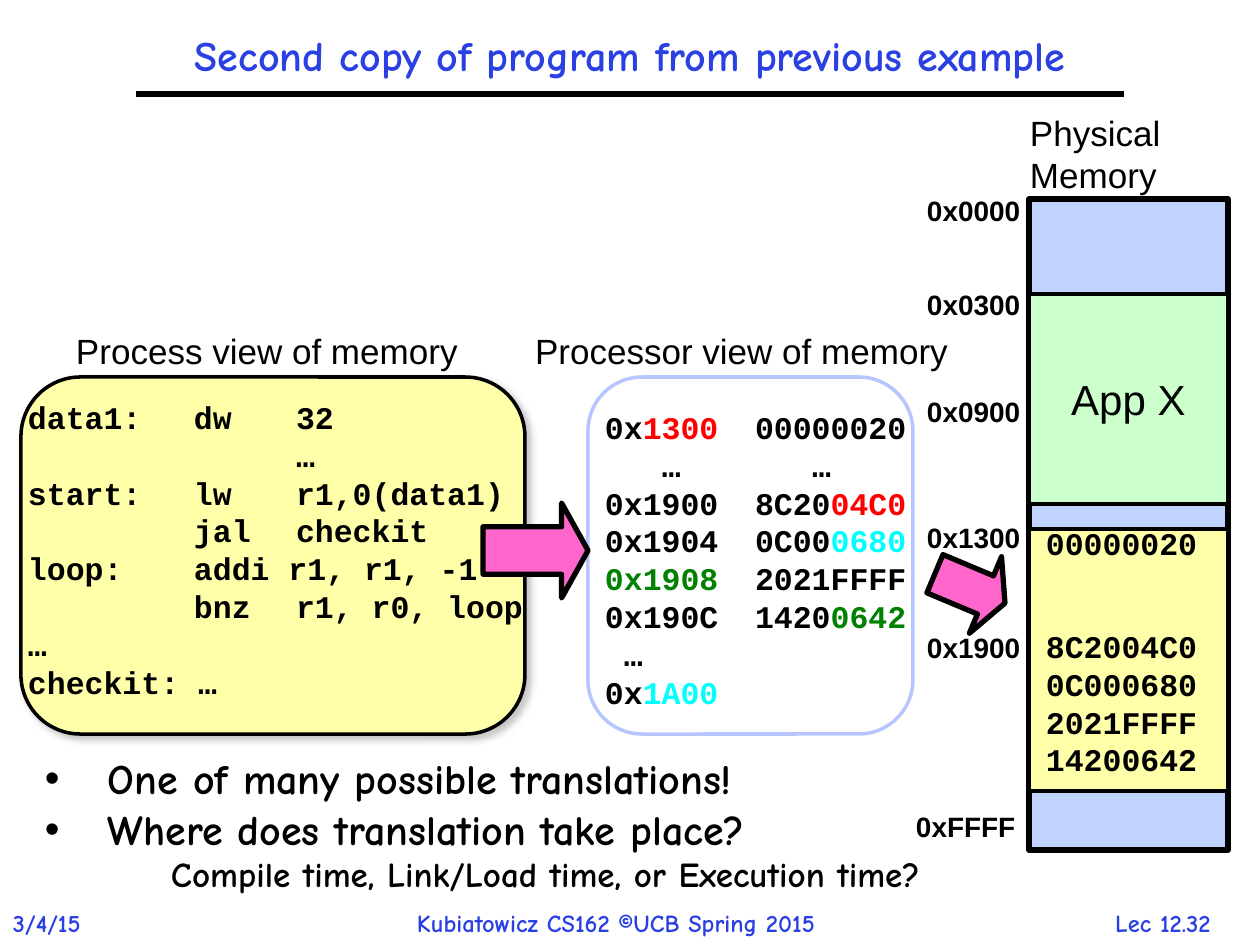
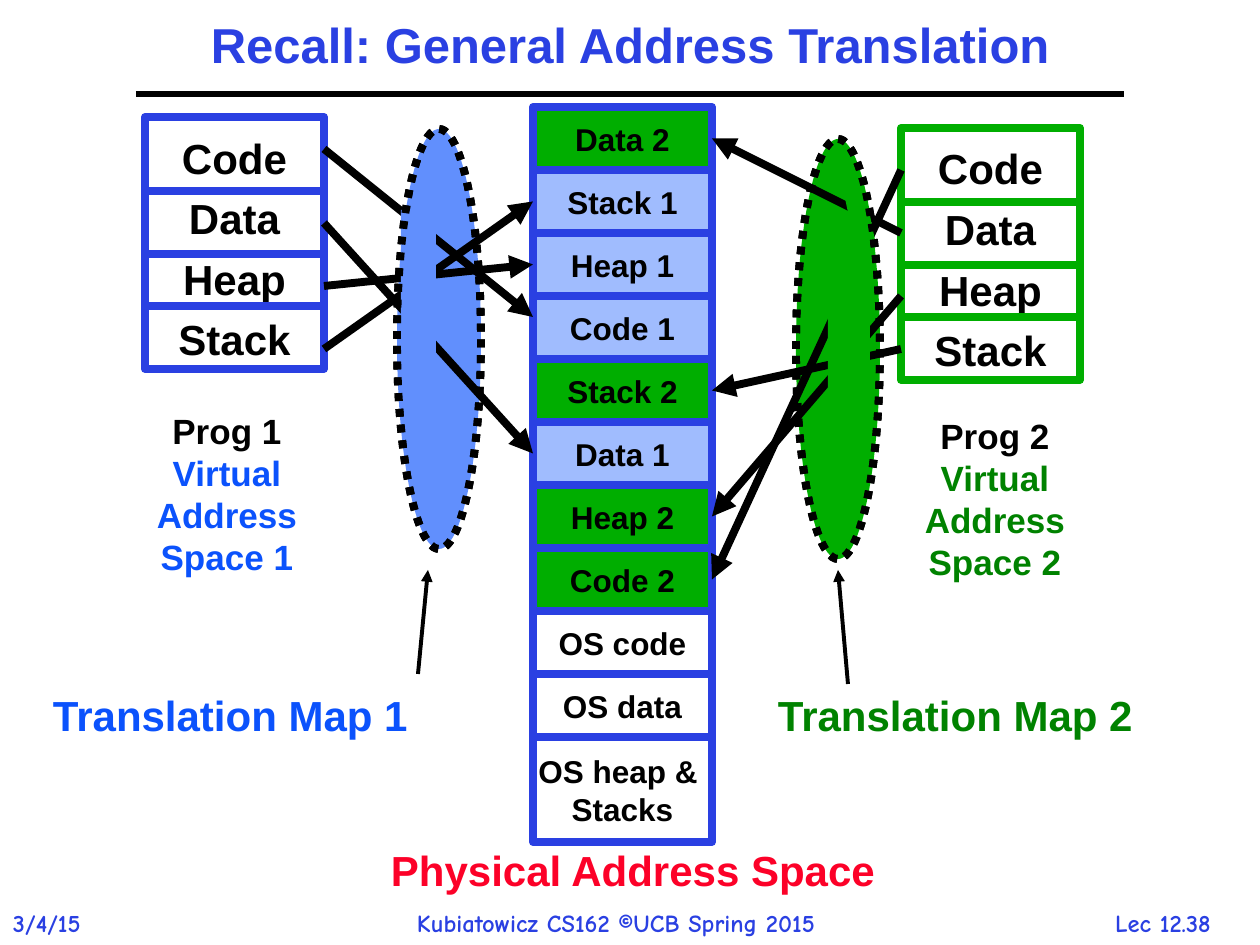
from pptx import Presentation
from pptx.dml.color import RGBColor
from pptx.enum.dml import MSO_LINE
from pptx.enum.shapes import MSO_CONNECTOR, MSO_SHAPE as SHAPE
from pptx.enum.text import MSO_ANCHOR as ANCHOR, MSO_AUTO_SIZE, PP_ALIGN as ALIGN
from pptx.oxml import parse_xml
from pptx.oxml.ns import nsdecls
from pptx.util import Emu, Pt

PX = 914400 / 126
LEFT, RIGHT = 1, 3  # connection sites of a rectangle

BLACK, WHITE, RED, CYAN = "000000", "FFFFFF", "FF0000", "00FFFF"
BLUE, MAP_BLUE, OVAL_BLUE, CELL_BLUE = "2A40E2", "0B52FC", "618FFD", "A0BCFE"
GREEN, DARK_GREEN, PALE_GREEN = "00AE00", "008200", "CCFFCC"
YELLOW, PINK, MEMORY_BLUE, PALE_BLUE = "FFFFAA", "FF66CC", "C0D2FE", "B7C6FE"
CRIMSON = "FC0128"
COMIC, SANS, MONO = "Comic Neue", "Arial", "Courier New"


def px(n):
    return Emu(round(n * PX))


def rgb(color):
    return RGBColor.from_string(color)


def xml(tag, attrs="", inner=""):
    return parse_xml(f'<a:{tag} {nsdecls("a")} {attrs}>{inner}</a:{tag}>')


class Deck:
    """Holds the shared style and the current slide."""

    def __init__(self):
        self.prs = Presentation()
        self.prs.slide_width, self.prs.slide_height = px(1260), px(945)
        self.s = None

    def slide(self, title, number, top, size, font):
        layout = self.prs.slide_layouts[5]
        self.s = self.prs.slides.add_slide(layout)
        sp = self.s.shapes.title
        sp.left, sp.top, sp.width, sp.height = px(0), px(top), px(1260), px(73)
        self.set_text(sp.text_frame, [title], size, font, BLUE, True, ALIGN.CENTER,
                      anchor=ANCHOR.MIDDLE, spacing=0.9)
        self.line((136, 94), (1124, 94), width=3)
        # Footer
        for text, left, width, align in (
                ("3/4/15", 0, 111, ALIGN.LEFT),
                ("Kubiatowicz CS162 ©UCB Spring 2015", 404, 488, ALIGN.LEFT),
                (f"Lec {number}", 1079, 168, ALIGN.CENTER)):
            self.text((left, 902, width, 43), [text], 14, COMIC, BLUE, True, align)

    def set_text(self, tf, paragraphs, size, font=SANS, color=BLACK, bold=False,
                 align=ALIGN.LEFT, anchor=ANCHOR.TOP, spacing=1, wrap=False,
                 inset=13, tabs=()):
        """A paragraph is a string or a list of (text, colour) runs."""
        tf.auto_size = MSO_AUTO_SIZE.NONE
        tf.word_wrap = wrap
        tf.vertical_anchor = anchor
        tf.margin_left, tf.margin_right = px(inset), px(13)
        tf.margin_top = tf.margin_bottom = px(6)
        for i, content in enumerate(paragraphs):
            p = tf.add_paragraph() if i else tf.paragraphs[0]
            if tabs:
                stops = "".join(f'<a:tab pos="{px(t)}" algn="l"/>' for t in tabs)
                p._p.get_or_add_pPr().append(xml("tabLst", inner=stops))
            p.alignment = align
            p.line_spacing = Pt(round(1.2 * size * spacing, 1))
            if isinstance(content, str):
                p.text = content
                colors = [color]
            else:
                for part, _ in content:
                    p.add_run().text = part
                colors = [c for _, c in content]
            for r, run_color in zip(p.runs, colors):
                r.font.name, r.font.size, r.font.bold = font, Pt(size), bold
                r.font.color.rgb = rgb(run_color)

    def text(self, box, paragraphs, size, *args, **style):
        tf = self.s.shapes.add_textbox(*map(px, box)).text_frame
        self.set_text(tf, paragraphs, size, *args, **style)
        return tf

    def listing(self, box, paragraphs, tabs=()):
        self.text(box, paragraphs, 18, MONO, BLACK, True, wrap=True, inset=28, tabs=tabs)

    def shape(self, kind, box, fill=None, line=None, width=2, adj=(), rot=0,
              dotted=False):
        sp = self.s.shapes.add_shape(kind, *map(px, box))
        sp.shadow.inherit = False
        sp.rotation = rot
        for i, value in enumerate(adj):
            sp.adjustments[i] = value
        if fill:
            sp.fill.solid()
            sp.fill.fore_color.rgb = rgb(fill)
        else:
            sp.fill.background()
        if line:
            sp.line.color.rgb = rgb(line)
            sp.line.width = Pt(width)
            if dotted:
                sp.line.dash_style = MSO_LINE.ROUND_DOT
        else:
            sp.line.fill.background()
        return sp

    def drop_shadow(self, sp):
        sp._element.spPr.find("{*}effectLst").append(xml(
            "outerShdw", f'blurRad="{Pt(4)}" dist="{Pt(3)}" dir="2700000"',
            '<a:srgbClr val="808080"><a:alpha val="43000"/></a:srgbClr>'))

    def block_arrow(self, box, rot=0):
        self.shape(SHAPE.RIGHT_ARROW, box, PINK, BLACK, 3, (0.5, 0.278), rot)

    def line(self, start, end, color=BLACK, width=4.5, arrow=False):
        c = self.s.shapes.add_connector(MSO_CONNECTOR.STRAIGHT,
                                        *map(px, (*start, *end)))
        c.line.color.rgb = rgb(color)
        c.line.width = Pt(width)
        if arrow:
            c._element.spPr.get_or_add_ln().append(xml("tailEnd", 'type="triangle"'))
        c._element.spPr.append(xml("effectLst"))
        return c

    def bullets(self, box, items, note):
        tf = self.text(box, items, 24, COMIC, BLACK, True, wrap=True)
        for p in tf.paragraphs:
            pPr = p._p.get_or_add_pPr()
            pPr.set("marL", str(px(63)))
            pPr.set("indent", str(-px(63)))
            pPr.append(xml("buFont", 'typeface="Arial"'))
            pPr.append(xml("buChar", 'char="•"'))
        # Closing line, indented and without a bullet
        p = tf.add_paragraph()
        pPr = p._p.get_or_add_pPr()
        pPr.set("marL", str(px(158)))
        pPr.set("indent", str(-px(32)))
        pPr.append(xml("buNone"))
        p.line_spacing, p.space_before = Pt(19.2), Pt(4)
        p.text = note
        font = p.runs[0].font
        font.name, font.size, font.bold = COMIC, Pt(20), True
        font.color.rgb = rgb(BLACK)


def second_copy(d):
    d.slide("Second copy of program from previous example", "12.32", 21, 24, COMIC)

    # Process and processor views
    d.shape(SHAPE.ROUNDED_RECTANGLE, (588, 377, 325, 357), WHITE, PALE_BLUE)
    d.drop_shadow(d.shape(SHAPE.ROUNDED_RECTANGLE, (21, 377, 504, 357), YELLOW, BLACK))
    d.listing((577, 402, 347, 318), [
        [("0x", BLACK), ("1300", RED), ("\t00000020", BLACK)],
        "\t…\t\t…",
        [("0x1900\t8C20", BLACK), ("04C0", RED)],
        [("0x1904\t0C00", BLACK), ("0680", CYAN)],
        [("0x1908", DARK_GREEN), ("\t2021FFFF", BLACK)],
        [("0x190C\t1420", BLACK), ("0642", DARK_GREEN)],
        " …",
        [("0x", BLACK), ("1A00", CYAN)],
    ], tabs=(57, 150, 207))
    d.block_arrow((483, 503, 105, 95))
    d.listing((0, 392, 546, 318), [
        "data1:\tdw\t32",
        "\t\t…",
        "start:\tlw\tr1,0(data1)",
        "\tjal\tcheckit",
        "loop:\taddi r1, r1, -1",
        "\tbnz\tr1, r0, loop",
        "…",
        "checkit: …",
    ], tabs=(166, 268))
    d.text((63, 323, 412, 55), ["Process view of memory"], 20)
    d.text((522, 323, 445, 55), ["Processor view of memory"], 20)

    # Physical memory
    d.shape(SHAPE.RECTANGLE, (1029, 199, 199, 651), MEMORY_BLUE, BLACK, 3)
    d.text((1017, 105, 158, 97), ["Physical", "Memory"], 20)
    app = d.shape(SHAPE.RECTANGLE, (1029, 294, 199, 210), PALE_GREEN, BLACK)
    d.set_text(app.text_frame, ["App X"], 24, align=ALIGN.CENTER, anchor=ANCHOR.MIDDLE)
    d.shape(SHAPE.RECTANGLE, (1029, 529, 199, 262), YELLOW, BLACK)
    d.listing((1018, 621, 199, 165), ["8C2004C0", "0C000680", "2021FFFF", "14200642"])
    d.listing((1018, 518, 199, 50), ["00000020"])
    for address, left, top in (("0x0000", 914, 188), ("0x0300", 914, 282),
                               ("0x0900", 914, 388), ("0x1300", 914, 514),
                               ("0x1900", 914, 625), ("0xFFFF", 903, 804)):
        d.text((left, top, 120, 47), [address], 16, bold=True)
    d.block_arrow((932, 547, 76, 83), rot=22.8)

    d.bullets((32, 747, 1003, 150),
              ["One of many possible translations!", "Where does translation take place?"],
              "Compile time, Link/Load time, or Execution time?")


def address_translation(d):
    d.slide("Recall: General Address Translation", "12.38", 10, 28, SANS)
    centred = dict(bold=True, align=ALIGN.CENTER)
    oval_1, oval_2 = (397, 129, 84, 420), (796, 139, 84, 420)
    for oval, fill in ((oval_2, GREEN), (oval_1, OVAL_BLUE)):
        d.shape(SHAPE.OVAL, oval, fill, BLACK, 4.5, dotted=True)

    # Virtual address spaces
    for n, left, top, color, label_left, label_top, label_color in (
            (1, 145, 117, BLUE, 144, 403, MAP_BLUE),
            (2, 901, 128, GREEN, 912, 408, DARK_GREEN)):
        space = d.shape(SHAPE.RECTANGLE, (left, top, 179, 252), WHITE, color, 4.5)
        d.set_text(space.text_frame, ["Code", "Data", "Heap", "Stack"], 24,
                   anchor=ANCHOR.MIDDLE, spacing=1.2, **centred)
        for offset in (74, 137, 189):
            d.line((left, top + offset), (left + 179, top + offset), color)
        label = [[(f"Prog {n}", BLACK)], "Virtual", "Address", f"Space {n}"]
        d.text((label_left, label_top, 166, 183), label, 20, color=label_color, **centred)

    # Physical address space
    cells = {}
    names = ("Data 2", "Stack 1", "Heap 1", "Code 1", "Stack 2", "Data 1", "Heap 2",
             "Code 2", "OS code", "OS data", "OS heap & \nStacks")
    for i, name in enumerate(names):
        fill = {"1": CELL_BLUE, "2": GREEN}.get(name[-1], WHITE)
        height = 105 if "\n" in name else 63
        cells[name] = d.shape(SHAPE.RECTANGLE, (533, 107 + 63 * i, 179, height),
                              fill, BLUE, 4.5)
        d.set_text(cells[name].text_frame, name.split("\n"), 18, anchor=ANCHOR.MIDDLE,
                   **centred)

    # Mappings; the first one ends a little above the middle of its cell
    d.line((324, 149), (533, 317), arrow=True)
    for name, x, y, side in (("Data 1", 324, 223, LEFT), ("Heap 1", 324, 286, LEFT),
                             ("Stack 1", 324, 349, LEFT), ("Code 2", 901, 170, RIGHT),
                             ("Data 2", 901, 233, RIGHT), ("Heap 2", 901, 296, RIGHT),
                             ("Stack 2", 901, 349, RIGHT)):
        d.line((x, y), (x, y), arrow=True).end_connect(cells[name], side)

    # Patches that hide the arrows inside the translation maps
    d.shape(SHAPE.RECTANGLE, (401, 210, 35, 189), OVAL_BLUE)
    d.shape(SHAPE.RECTANGLE, (828, 233, 42, 200), GREEN)
    d.shape(SHAPE.RECTANGLE, (848, 180, 21, 63), GREEN, rot=348.5)
    for oval in (oval_1, oval_2):
        d.shape(SHAPE.OVAL, oval, None, BLACK, 4.5, dotted=True)

    # Captions
    for caption, box, color in (
            ("Translation Map 1", (40, 684, 397, 63), MAP_BLUE),
            ("Translation Map 2", (765, 684, 397, 63), DARK_GREEN),
            ("Physical Address Space", (378, 839, 514, 64), CRIMSON)):
        d.text(box, [caption], 24, color=color, bold=True)
    d.line((418, 674), (428, 570), width=2.25, arrow=True)
    d.line((848, 684), (838, 570), width=2.25, arrow=True)


def main():
    d = Deck()
    second_copy(d)
    address_translation(d)
    d.prs.save("out.pptx")


if __name__ == "__main__":
    main()
